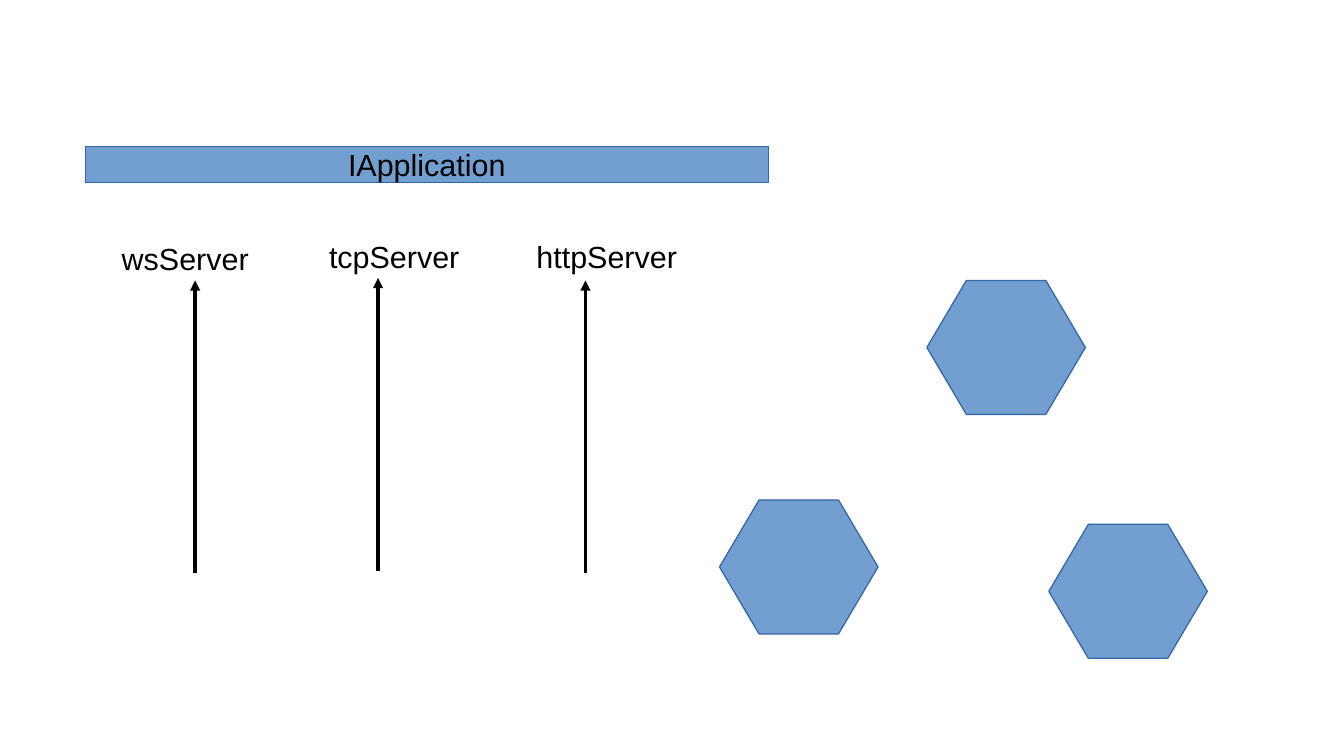
from dataclasses import dataclass
from typing import Any

import pptx
import pptx.dml.color
import pptx.enum.shapes
import pptx.enum.text
import pptx.oxml
import pptx.oxml.ns
import pptx.util

PX = 9144  # EMU: 100 px to the inch
SHAPE = pptx.enum.shapes.MSO_SHAPE
ALIGN = pptx.enum.text.PP_ALIGN
ANCHOR = pptx.enum.text.MSO_ANCHOR
AUTO_SIZE = pptx.enum.text.MSO_AUTO_SIZE


@dataclass(frozen=True)
class Theme:
    fill: str = "729FCF"
    outline: str = "3465A4"
    ink: str = "000000"
    font: str = "Arial"
    text_pt: int = 18
    hairline: int = 0


@dataclass(frozen=True)
class Server:
    name: str
    left: int
    top: int
    arrow_x: int


@dataclass(frozen=True)
class Node:
    left: int
    top: int


THEME = Theme()
SLIDE_W, SLIDE_H = 1102, 620
LABEL_W, LABEL_H = 140, 38
ARROW_LENGTH = 240
NODE_W, NODE_H = 130, 110
NODE_SLANT = 0.295
APPLICATION_BAR = (70, 120, 560, 30)

SERVERS = [
    Server("wsServer", 90, 192, 160),
    Server("tcpServer", 260, 190, 310),
    Server("httpServer", 430, 190, 480),
]
ARROW_TIPS = [230, 228, 230]
NODES = [Node(760, 230), Node(590, 410), Node(860, 430)]


def rgb(value: str) -> pptx.dml.color.RGBColor:
    return pptx.dml.color.RGBColor.from_string(value)


def emu(*lengths: int) -> list[pptx.util.Emu]:
    return [pptx.util.Emu(length * PX) for length in lengths]


def apply(target: Any, formats: dict[str, Any]) -> None:
    for name, value in formats.items():
        setattr(target, name, value)


def style_line(line: Any, color: str) -> None:
    line.color.rgb = rgb(color)
    line.width = pptx.util.Pt(THEME.hairline)


def write(sp: Any, text: str, frame: dict[str, Any], align: Any) -> None:
    tf = sp.text_frame
    apply(tf, frame)
    p = tf.paragraphs[0]
    p.alignment = align
    r = p.add_run()
    r.text = text
    apply(r.font, {"name": THEME.font, "size": pptx.util.Pt(THEME.text_pt)})
    r.font.color.rgb = rgb(THEME.ink)


def add_arrow(s: Any, x: int, tip: int) -> None:
    """Draw an upward arrow that ends at tip."""
    sp = s.shapes.add_connector(
        pptx.enum.shapes.MSO_CONNECTOR.STRAIGHT, *emu(x, tip + ARROW_LENGTH, x, tip)
    )
    style_line(sp.line, THEME.ink)
    head = pptx.oxml.parse_xml(
        f'<a:tailEnd {pptx.oxml.ns.nsdecls("a")} type="triangle"/>'
    )
    sp.line._get_or_add_ln().append(head)
    no_effects = pptx.oxml.parse_xml(f'<a:effectLst {pptx.oxml.ns.nsdecls("a")}/>')
    sp._element.spPr.append(no_effects)


def add_label(s: Any, server: Server) -> None:
    sp = s.shapes.add_textbox(*emu(server.left, server.top, LABEL_W, LABEL_H))
    frame = {"word_wrap": True, "auto_size": AUTO_SIZE.SHAPE_TO_FIT_TEXT}
    write(sp, server.name, frame, ALIGN.LEFT)


def add_filled(s: Any, kind: Any, left: int, top: int, width: int, height: int) -> Any:
    sp = s.shapes.add_shape(kind, *emu(left, top, width, height))
    sp.shadow.inherit = False
    sp.fill.solid()
    sp.fill.fore_color.rgb = rgb(THEME.fill)
    style_line(sp.line, THEME.outline)
    return sp


def main() -> None:
    prs = pptx.Presentation()
    prs.slide_width, prs.slide_height = emu(SLIDE_W, SLIDE_H)
    s = prs.slides.add_slide(prs.slide_layouts[6])

    for server, tip in zip(SERVERS, ARROW_TIPS):
        add_arrow(s, server.arrow_x, tip)
    for server in SERVERS:
        add_label(s, server)

    bar = add_filled(s, SHAPE.RECTANGLE, *APPLICATION_BAR)
    frame = {"word_wrap": False, "vertical_anchor": ANCHOR.MIDDLE}
    write(bar, "IApplication", frame, ALIGN.CENTER)

    for node in NODES:
        sp = add_filled(s, SHAPE.HEXAGON, node.left, node.top, NODE_W, NODE_H)
        sp.adjustments[0] = NODE_SLANT

    prs.save("out.pptx")


if __name__ == "__main__":
    main()
